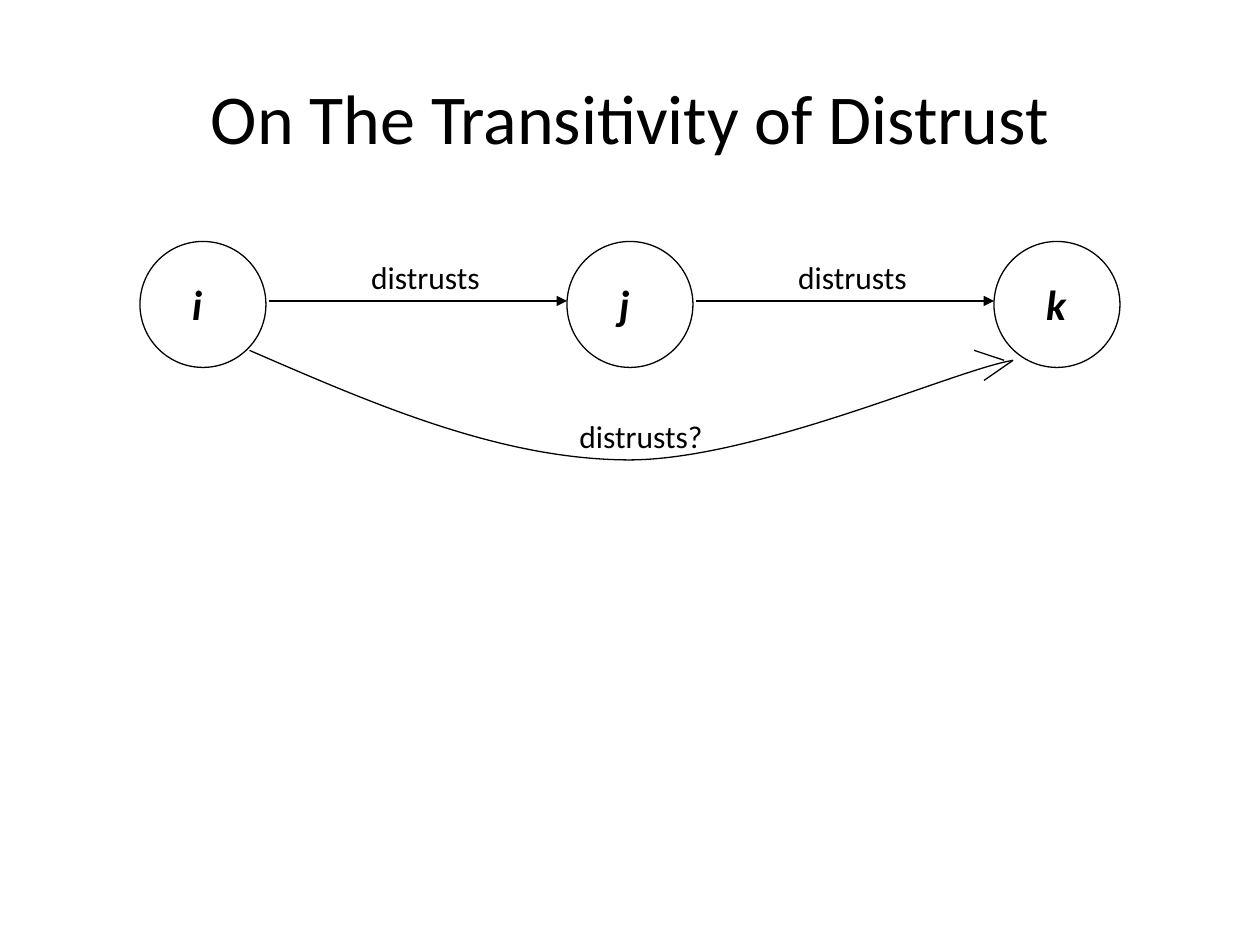
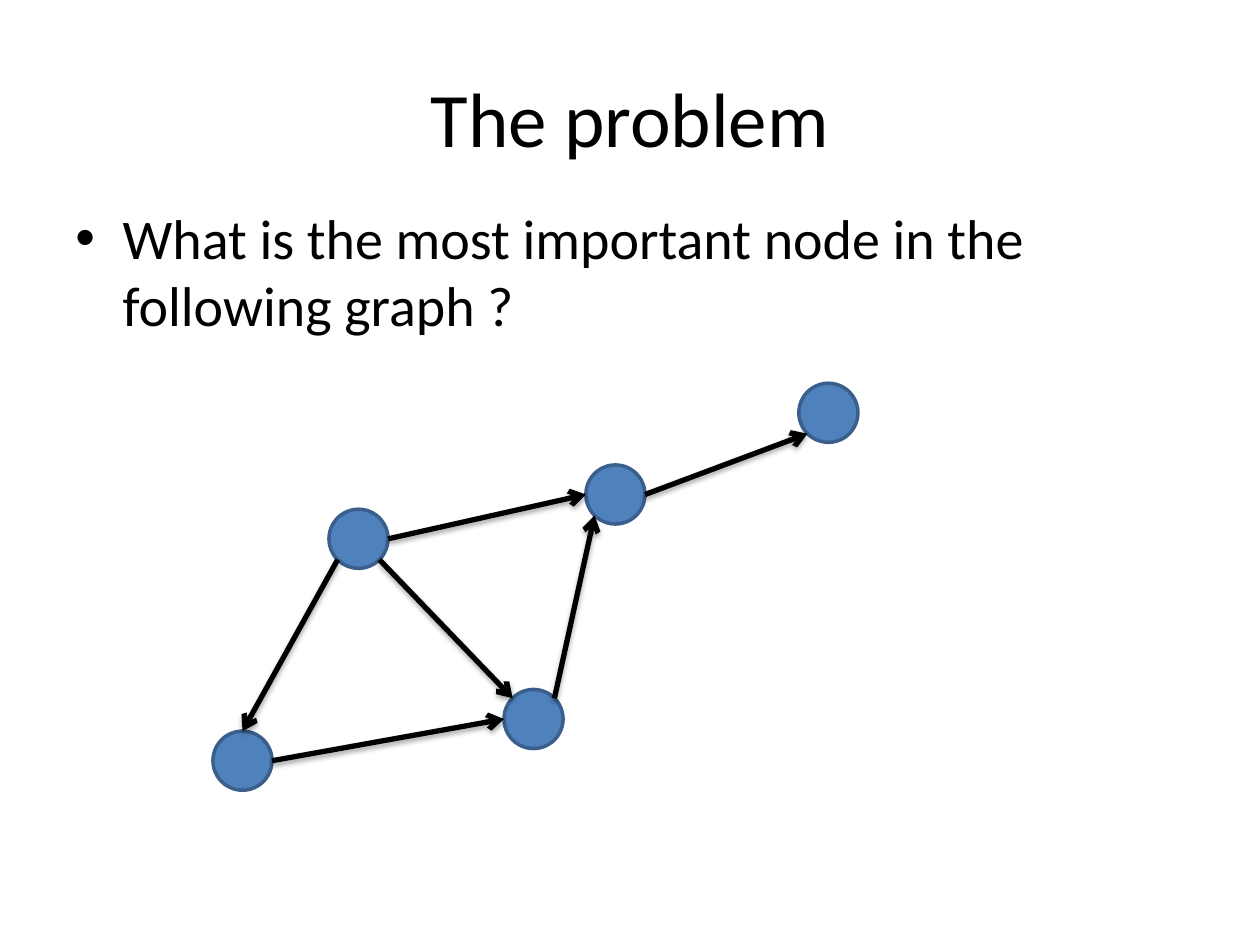
"""Build two slides on trust and node importance in directed graphs."""
from math import cos, radians, sin

from lxml import etree
from pptx import Presentation
from pptx.dml.color import RGBColor
from pptx.enum.shapes import MSO_CONNECTOR, MSO_SHAPE
from pptx.enum.text import MSO_ANCHOR, PP_ALIGN
from pptx.oxml.ns import qn
from pptx.util import Pt

STRAIGHT = MSO_CONNECTOR.STRAIGHT
ELLIPSE = MSO_SHAPE.OVAL
TOP, MIDDLE = MSO_ANCHOR.TOP, MSO_ANCHOR.MIDDLE
LEFT, CENTER = PP_ALIGN.LEFT, PP_ALIGN.CENTER

COLORS = {"ink": "000000", "paper": "FFFFFF", "node": "4F81BD", "node_edge": "3A5F8C"}
FONT = "Calibri"
BLANK_LAYOUT = 6
TITLE_BOX = (36, 21.6, 648, 90)
BODY_BOX = (36, 112.5, 648, 356)
CHAIN_ORIGIN = (80, 138)
GRAPH_ORIGIN = (121.7, 219)

LABEL = {"size": Pt(18)}
LETTER = {"size": Pt(24), "bold": True, "italic": True}

PERSON_SIZE = 72
PERSON_PITCH = 244
THIN = 0.75
INFERRED_CURVE = [
    (62.6, 62.2), (133.8, 93.1), (205.1, 124.1), (277.8, 124.8),
    (350.6, 125.5), (466.5, 73), (498.9, 67.9),
]
CURVE_BARBS = [((498.9, 67.9), (482.3, 79.4)), ((476.6, 62.2), (493.8, 67.9))]

NODE_SIZE = 33.8
NODES = {"A": (66.3, 72), "B": (0, 198.8), "C": (166.3, 175), "D": (213.1, 46.7), "E": (334.8, 0)}
EDGES = [
    ("A", 135, "B", 270), ("A", 45, "C", 225), ("B", 0, "C", 180),
    ("A", 0, "D", 180), ("C", 315, "D", 135), ("D", 0, "E", 135),
]


def color(name):
    """Return a palette colour."""
    return RGBColor.from_string(COLORS[name])


def points(values):
    """Convert numbers in points to lengths."""
    return [Pt(value) for value in values]


def shift(origin, point):
    """Place a relative point on the slide."""
    return origin[0] + point[0], origin[1] + point[1]


def add_text(slide, box, text, formats, alignment=LEFT, anchor=TOP, bullet_indent=0):
    """Add a wrapped one-paragraph text box, with a bullet if indented."""
    frame = slide.shapes.add_textbox(*points(box)).text_frame
    frame.word_wrap = True
    frame.vertical_anchor = anchor
    paragraph = frame.paragraphs[0]
    paragraph.text = text
    paragraph.alignment = alignment
    if bullet_indent:
        properties = paragraph._p.get_or_add_pPr()
        properties.set("marL", str(Pt(bullet_indent)))
        properties.set("indent", str(-Pt(bullet_indent)))
        etree.SubElement(properties, qn("a:buFont"), typeface="Arial")
        etree.SubElement(properties, qn("a:buChar"), char="•")
    font = paragraph.runs[0].font
    for name, value in {"name": FONT, **formats}.items():
        setattr(font, name, value)
    font.color.rgb = color("ink")


def add_circle(shapes, origin, size, edge, width, fill=None):
    """Add a circle, filled when a fill colour is named."""
    shape = shapes.add_shape(ELLIPSE, *points((*origin, size, size)))
    shape.shadow.inherit = False
    if fill:
        shape.fill.solid()
        shape.fill.fore_color.rgb = color(fill)
    else:
        shape.fill.background()
    shape.line.color.rgb = color(edge)
    shape.line.width = Pt(width)


def add_line(shapes, start, end, width, head=None, shadow=False):
    """Add a straight line with an optional arrowhead and soft shadow."""
    connector = shapes.add_connector(STRAIGHT, *points((*start, *end)))
    connector.line.color.rgb = color("ink")
    connector.line.width = Pt(width)
    properties = connector._element.spPr
    if head:
        etree.SubElement(properties.find(qn("a:ln")), qn("a:tailEnd"), type=head)
    effects = etree.SubElement(properties, qn("a:effectLst"))
    if shadow:
        outer = etree.SubElement(
            effects, qn("a:outerShdw"), blurRad=str(Pt(3.1)), dist=str(Pt(1.8)),
            dir="5400000", rotWithShape="0",
        )
        tint = etree.SubElement(outer, qn("a:srgbClr"), val=COLORS["ink"])
        etree.SubElement(tint, qn("a:alpha"), val="35000")


def add_curve(slide, curve):
    """Add an open Bézier outline from a start and triples of control points."""
    start, *controls = [points(point) for point in curve]
    builder = slide.shapes.build_freeform(*start)
    builder.add_line_segments(controls, close=False)
    shape = builder.convert_to_shape()
    shape.shadow.inherit = False
    shape.fill.background()
    shape.line.color.rgb = color("ink")
    shape.line.width = Pt(THIN)
    segments = list(shape._element.iter(qn("a:lnTo")))
    outline = segments[0].getparent()
    for first in range(0, len(segments), 3):
        bezier = etree.SubElement(outline, qn("a:cubicBezTo"))
        for segment in segments[first:first + 3]:
            bezier.append(segment[0])
            outline.remove(segment)


def add_titled_slide(presentation, title, size):
    """Add a blank slide with the shared background and title style."""
    slide = presentation.slides.add_slide(presentation.slide_layouts[BLANK_LAYOUT])
    slide.background.fill.solid()
    slide.background.fill.fore_color.rgb = color("paper")
    add_text(slide, TITLE_BOX, title, {"size": Pt(size)}, CENTER, MIDDLE)
    return slide


def add_distrust_chain(slide, origin):
    """Draw three people, the distrust between them and the inferred link."""
    people = "ijk"
    for index, person in enumerate(people):
        corner = shift(origin, (index * PERSON_PITCH, 0))
        add_circle(slide.shapes, corner, PERSON_SIZE, "ink", THIN)
        add_text(slide, (*shift(corner, (22.6, 17.5)), 30, 36), person, LETTER)
        if index < len(people) - 1:
            add_text(slide, (*shift(corner, (125, 6)), 91, 29), "distrusts", LABEL)
            start = shift(corner, (PERSON_SIZE + 2, 34))
            end = shift(corner, (PERSON_PITCH, 34))
            add_line(slide.shapes, start, end, THIN, "triangle")
    add_text(slide, (*shift(origin, (PERSON_PITCH, 96.7)), 96, 29), "distrusts?", LABEL)
    add_curve(slide, [shift(origin, point) for point in INFERRED_CURVE])
    for start, end in CURVE_BARBS:
        add_line(slide.shapes, shift(origin, start), shift(origin, end), THIN)


def rim_point(corner, angle):
    """Return the point of a node's rim at a clockwise angle from the right."""
    radius = NODE_SIZE / 2
    turn = radians(angle)
    return shift(corner, (radius * (1 + cos(turn)), radius * (1 + sin(turn))))


def add_graph(slide, origin):
    """Draw the directed graph as one group."""
    shapes = slide.shapes.add_group_shape().shapes
    corners = {name: shift(origin, corner) for name, corner in NODES.items()}
    for corner in corners.values():
        add_circle(shapes, corner, NODE_SIZE, "node_edge", 2, "node")
    for source, leave, target, arrive in EDGES:
        start = rim_point(corners[source], leave)
        end = rim_point(corners[target], arrive)
        add_line(shapes, start, end, 3, "arrow", shadow=True)


def main():
    """Build and save the presentation."""
    presentation = Presentation()
    presentation.slide_width, presentation.slide_height = points((720, 540))
    slide = add_titled_slide(presentation, "On The Transitivity of Distrust", 40)
    add_distrust_chain(slide, CHAIN_ORIGIN)
    slide = add_titled_slide(presentation, "The problem", 44)
    question = "What is the most important node in the following graph ?"
    add_text(slide, BODY_BOX, question, {"size": Pt(32)}, bullet_indent=27)
    add_graph(slide, GRAPH_ORIGIN)
    presentation.save("out.pptx")


if __name__ == "__main__":
    main()
